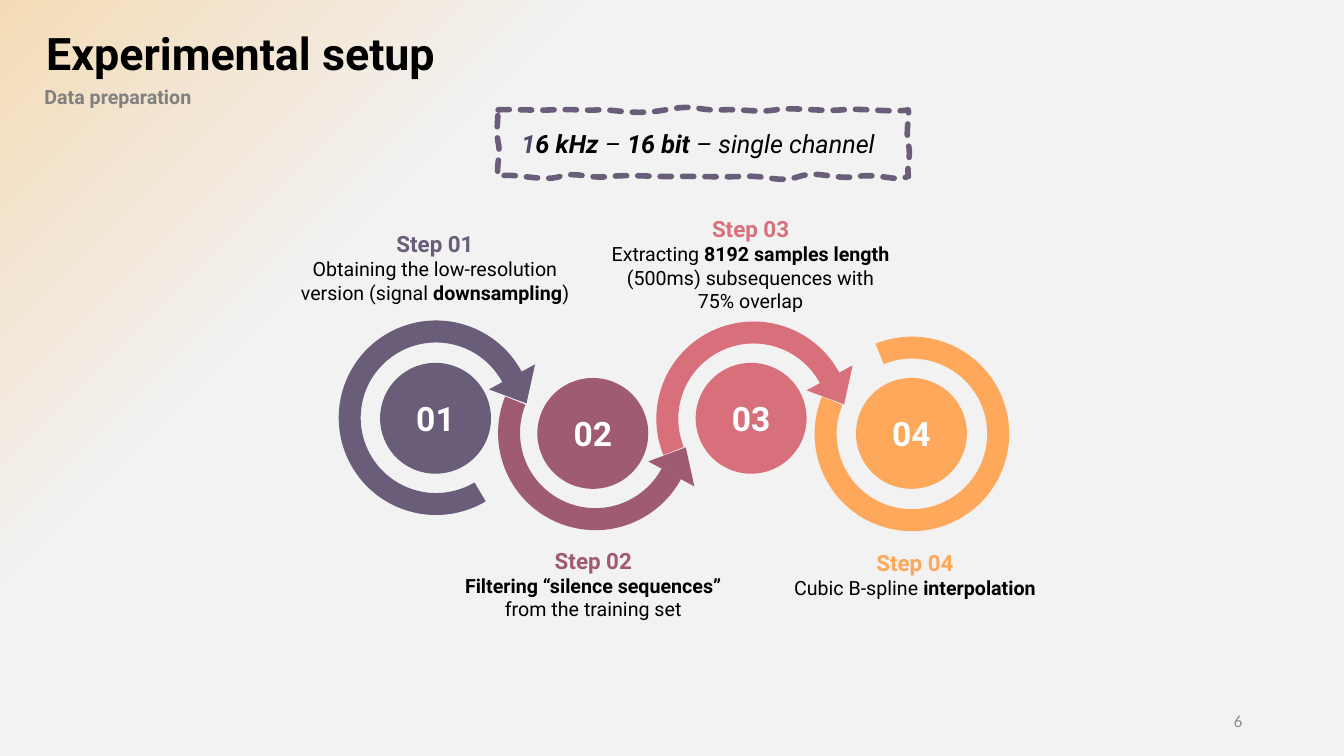
from dataclasses import dataclass
from typing import Optional

from lxml.etree import SubElement
from pptx import Presentation
from pptx.dml.color import RGBColor
from pptx.enum.dml import MSO_LINE
from pptx.enum.shapes import MSO_SHAPE
from pptx.enum.text import MSO_ANCHOR, MSO_AUTO_SIZE, PP_ALIGN
from pptx.oxml.ns import qn
from pptx.util import Inches, Pt

BLACK = RGBColor(0x00, 0x00, 0x00)
WHITE = RGBColor(0xFF, 0xFF, 0xFF)
GRAY = RGBColor(0x80, 0x80, 0x80)
LIGHT_GRAY = RGBColor(0x8C, 0x8C, 0x8C)
PEACH = RGBColor(0xF4, 0xDB, 0xB6)
PALE = RGBColor(0xF2, 0xF2, 0xF2)
INDIGO = RGBColor(0x49, 0x4B, 0x69)
PURPLE = RGBColor(0x69, 0x5D, 0x7A)
PLUM = RGBColor(0x9F, 0x5B, 0x72)
ROSE = RGBColor(0xD8, 0x70, 0x7C)
ORANGE = RGBColor(0xFD, 0xA8, 0x5A)

RING, RING_THICKNESS = 1.93, 0.113
DISC = 1.1
HEAD_WIDTH, HEAD_HEIGHT = 0.52, 0.3
HEAD_DX, HEAD_DY = 1.53, 0.54


@dataclass
class Step:
    number: str
    color: RGBColor
    ring: tuple[float, float]
    arc: tuple[float, float]  # start and end, degrees clockwise
    head_angle: Optional[float]
    disc: tuple[float, float]
    caption: tuple[float, float, float, float]
    runs: list[tuple[str, bool]]


STEPS = [
    Step("01", PURPLE, (3.36, 3.18), (59.27, 331.8), 151.5, (3.77, 3.6),
         (2.9, 2.28, 2.83, 0.74),
         [("Obtaining the low-resolution version (signal ", False),
          ("downsampling", True), (")", False)]),
    Step("02", PLUM, (4.94, 3.33), (28.2, 201.98), 28.5, (5.33, 3.75),
         (4.5, 5.42, 2.77, 0.74),
         [("Filtering “silence sequences”", True),
          (" from the training set", False)]),
    Step("03", ROSE, (6.51, 3.19), (158.02, 331.8), 151.5, (6.9, 3.6),
         (6.06, 2.13, 2.77, 0.98),
         [("Extracting ", False), ("8192 samples length ", True),
          ("(500ms) subsequences with 75% overlap", False)]),
    Step("04", ORANGE, (8.08, 3.34), (248.02, 202.58), None, (8.49, 3.75),
         (7.69, 5.45, 2.77, 0.5),
         [("Cubic B-spline ", False), ("interpolation", True)]),
]

FRAME_START = (4.94, 1.09)
# Each row holds two control points and the end point of a Bézier curve.
FRAME_CURVES = [
    (5.11, 1.08, 5.28, 1.1, 5.48, 1.09), (5.69, 1.08, 5.81, 1.1, 5.94, 1.09),
    (6.08, 1.08, 6.29, 1.15, 6.6, 1.09), (6.92, 1.03, 6.9, 1.1, 7.15, 1.09),
    (7.39, 1.08, 7.51, 1.12, 7.69, 1.09), (7.87, 1.06, 8.14, 1.11, 8.35, 1.09),
    (8.55, 1.07, 8.86, 1.12, 9.01, 1.09), (9.02, 1.2, 8.98, 1.29, 9.01, 1.43),
    (9.04, 1.57, 8.99, 1.61, 9.01, 1.75), (8.89, 1.81, 8.75, 1.72, 8.51, 1.75),
    (8.28, 1.79, 8.13, 1.69, 7.93, 1.75), (7.73, 1.82, 7.62, 1.74, 7.39, 1.75),
    (7.16, 1.76, 6.95, 1.75, 6.73, 1.75), (6.51, 1.76, 6.3, 1.73, 6.06, 1.75),
    (5.83, 1.78, 5.73, 1.7, 5.56, 1.75), (5.39, 1.81, 5.1, 1.71, 4.94, 1.75),
    (4.92, 1.66, 4.97, 1.5, 4.94, 1.41), (4.92, 1.31, 4.94, 1.17, 4.94, 1.09),
]


def set_font(font, size: float, color: RGBColor, bold=False, name="Roboto"):
    font.name, font.size, font.bold = name, Pt(size), bold
    font.color.rgb = color


def add_text(s, box, inset=True, wrap=True, grow=False, align=PP_ALIGN.LEFT):
    """Add a text box and return its first paragraph."""
    tf = s.shapes.add_textbox(*map(Inches, box)).text_frame
    tf.word_wrap = wrap
    tf.auto_size = MSO_AUTO_SIZE.SHAPE_TO_FIT_TEXT if grow else MSO_AUTO_SIZE.NONE
    tf.vertical_anchor = MSO_ANCHOR.MIDDLE
    if not inset:
        tf.margin_left = tf.margin_right = tf.margin_top = tf.margin_bottom = 0
    p = tf.paragraphs[0]
    p.alignment = align
    return p


def add_caption(s, box, size: float):
    p = add_text(s, box, inset=False, grow=True, align=PP_ALIGN.CENTER)
    p.space_after = Pt(9)
    set_font(p.font, size, BLACK)
    return p


def add_run(p, text: str, bold: bool):
    r = p.add_run()
    r.text = text
    r.font.bold = bold
    return r


def add_solid(shapes, kind: MSO_SHAPE, box, color: RGBColor):
    sp = shapes.add_shape(kind, *map(Inches, box))
    sp.shadow.inherit = False
    sp.fill.solid()
    sp.fill.fore_color.rgb = color
    sp.line.fill.background()
    return sp


def draw_arrow(s, step: Step):
    """Draw the ring of a step, grouped with its arrowhead if it has one."""
    has_head = step.head_angle is not None
    shapes = s.shapes.add_group_shape().shapes if has_head else s.shapes
    left, top = step.ring
    ring = add_solid(shapes, MSO_SHAPE.BLOCK_ARC, (left, top, RING, RING), step.color)
    for i, degrees in enumerate(step.arc):
        ring.adjustments[i] = degrees * 0.6  # 60000 units per degree, over 100000
    ring.adjustments[2] = RING_THICKNESS
    if has_head:
        points_down = step.head_angle > 90
        dy = HEAD_DY if points_down else RING - HEAD_DY - HEAD_HEIGHT
        box = (left + HEAD_DX, top + dy, HEAD_WIDTH, HEAD_HEIGHT)
        head = add_solid(shapes, MSO_SHAPE.ISOSCELES_TRIANGLE, box, step.color)
        head.rotation = step.head_angle


def draw_step(s, step: Step):
    draw_arrow(s, step)
    disc = add_solid(s.shapes, MSO_SHAPE.OVAL, (*step.disc, DISC, DISC), step.color)
    disc.text_frame.vertical_anchor = MSO_ANCHOR.MIDDLE
    p = disc.text_frame.paragraphs[0]
    p.text, p.alignment = step.number, PP_ALIGN.CENTER
    set_font(p.font, 24, WHITE, bold=True)

    p = add_caption(s, step.caption, 14)
    r = add_run(p, f"Step {step.number}", True)
    r.font.size, r.font.color.rgb = Pt(16), step.color
    p.add_line_break()
    for text, bold in step.runs:
        add_run(p, text, bold)


def draw_frame(s):
    x0, y0 = FRAME_START
    builder = s.shapes.build_freeform(Inches(x0), Inches(y0))
    builder.add_line_segments(
        [(Inches(x), Inches(y)) for *_, x, y in FRAME_CURVES], close=True)
    sp = builder.convert_to_shape()
    # Bend each straight segment into its curve.
    for segment, curve in zip(list(sp.element.iter(qn("a:lnTo"))), FRAME_CURVES):
        segment.remove(segment[0])
        segment.tag = qn("a:cubicBezTo")
        for x, y in zip(curve[::2], curve[1::2]):
            SubElement(segment, qn("a:pt"), x=str(int(Inches(x - x0))),
                       y=str(int(Inches(y - y0))))
    sp.shadow.inherit = False
    sp.fill.background()
    sp.line.color.rgb = PURPLE
    sp.line.width = Pt(4)
    sp.line.dash_style = MSO_LINE.SQUARE_DOT
    ln = sp.element.spPr.find(qn("a:ln"))
    ln.set("cap", "rnd")
    ln.find(qn("a:prstDash")).set("val", "sysDash")


def main():
    prs = Presentation()
    prs.slide_width, prs.slide_height = Inches(13.33), Inches(7.5)
    s = prs.slides.add_slide(prs.slide_layouts[6])
    fill = s.background.fill
    fill.gradient()
    fill.gradient_angle = 315
    for stop, color, position in zip(fill.gradient_stops, (PEACH, PALE), (0, 0.29)):
        stop.color.rgb, stop.position = color, position

    p = add_text(s, (0.36, 0.33, 4.87, 0.45))
    p.text, p.line_spacing = "Experimental setup", 0.9
    set_font(p.font, 32, BLACK, bold=True)
    p = add_text(s, (0.44, 0.86, 3.12, 0.19), inset=False, wrap=False)
    p.text = "Data preparation"
    set_font(p.font, 14, GRAY, bold=True)

    for step in STEPS:
        draw_step(s, step)

    p = add_caption(s, (5.15, 1.27, 3.61, 0.3), 18)
    p.font.italic = True
    add_run(p, "1", True).font.color.rgb = INDIGO
    for text, bold in (("6 kHz ", True), ("– ", False), ("16 bit ", True),
                       ("– single channel ", False)):
        add_run(p, text, bold)
    draw_frame(s)

    p = add_text(s, (9.42, 6.95, 3, 0.4), align=PP_ALIGN.RIGHT)
    p.text = "6"
    set_font(p.font, 12, LIGHT_GRAY, name="Calibri")
    prs.save("out.pptx")


if __name__ == "__main__":
    main()
